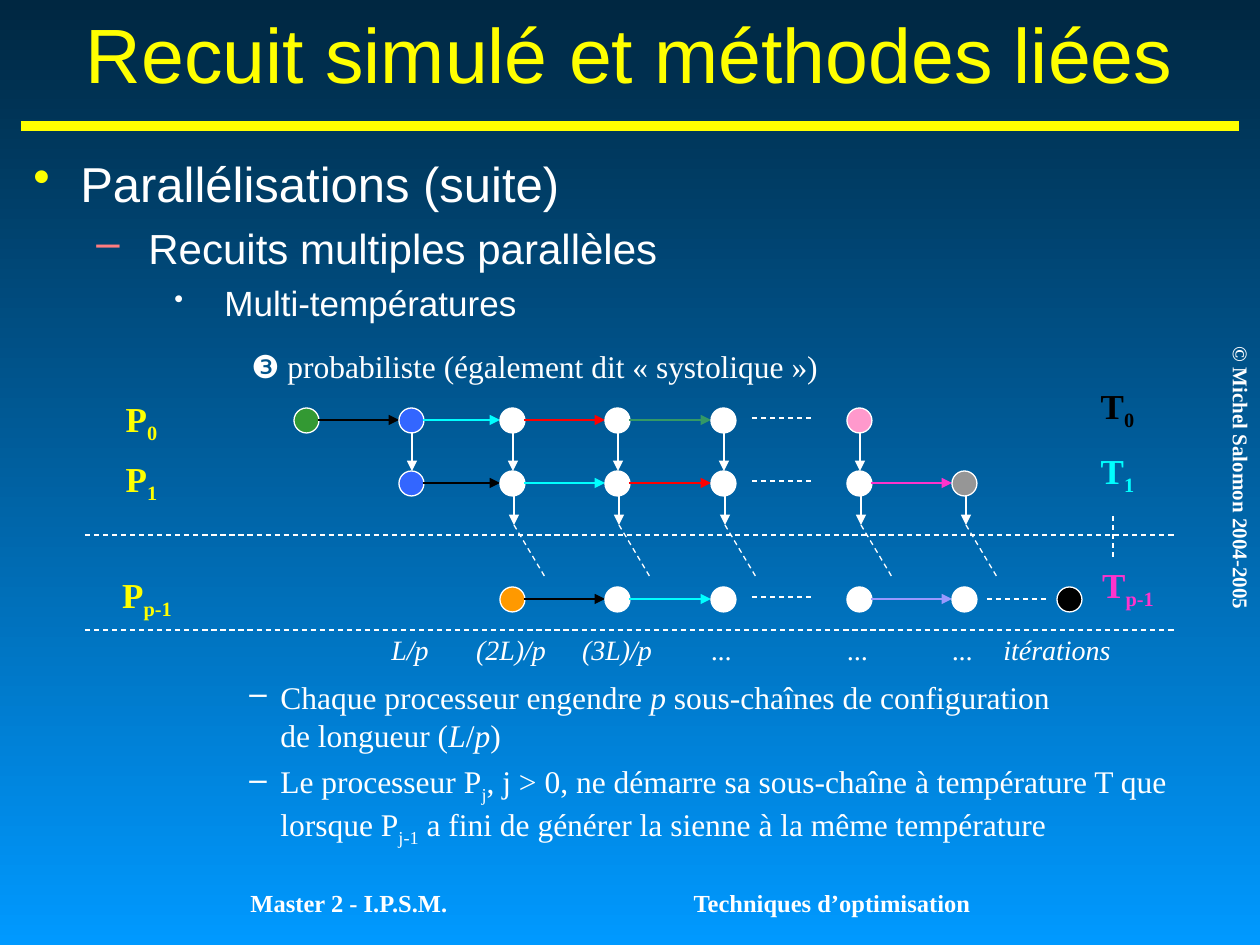
from dataclasses import dataclass
from typing import Optional

from lxml.etree import SubElement
from pptx import Presentation
from pptx.dml.color import RGBColor
from pptx.enum.dml import MSO_LINE
from pptx.enum.shapes import MSO_CONNECTOR, MSO_SHAPE
from pptx.enum.text import MSO_ANCHOR, MSO_AUTO_SIZE, PP_ALIGN
from pptx.oxml.ns import qn
from pptx.util import Pt

SCALE = 914400 / 126
SANS, SERIF = "Arial", "Times New Roman"
WHITE = RGBColor(0xFF, 0xFF, 0xFF)
BLACK = RGBColor(0x00, 0x00, 0x00)
YELLOW = RGBColor(0xFF, 0xFF, 0x00)
CORAL = RGBColor(0xFF, 0x7C, 0x80)
CYAN = RGBColor(0x00, 0xFF, 0xFF)
RED = RGBColor(0xFF, 0x00, 0x00)
GREEN = RGBColor(0x33, 0x99, 0x33)
SEA_GREEN = RGBColor(0x33, 0x99, 0x66)
BLUE = RGBColor(0x33, 0x66, 0xFF)
ORANGE = RGBColor(0xFF, 0x99, 0x00)
PINK = RGBColor(0xFF, 0x99, 0xCC)
MAGENTA = RGBColor(0xFF, 0x33, 0xCC)
LAVENDER = RGBColor(0x99, 0x99, 0xFF)
GRAY = RGBColor(0x96, 0x96, 0x96)
NIGHT = RGBColor(0x00, 0x27, 0x41)
SKY = RGBColor(0x00, 0x99, 0xFF)

COLUMNS = (306, 411, 512, 617, 723, 859, 964, 1069)
ROWS = (420, 483, 599)
RADIUS = 12


@dataclass(frozen=True)
class Piece:
    text: str
    italic: bool = False
    subscript: bool = False
    bold: bool = False
    font: str = SERIF


@dataclass(frozen=True)
class Bullet:
    mark: str
    color: RGBColor
    percent: int = 100


@dataclass(frozen=True)
class Block:
    pieces: tuple[Piece, ...]
    size: int
    color: RGBColor = WHITE
    align: Optional[PP_ALIGN] = PP_ALIGN.CENTER
    level: int = 0
    margin: int = 0
    indent: int = 0
    before: float = 0
    spacing: float = 1.0
    bullet: Optional[Bullet] = None


@dataclass(frozen=True)
class Node:
    row: int
    column: int
    fill: RGBColor = WHITE
    arrow: Optional[RGBColor] = None


@dataclass(frozen=True)
class Label:
    box: tuple[int, int, int, int]
    block: Block
    wrap: bool = True
    rotation: int = 0


NODES = (
    Node(0, 0, GREEN, BLACK), Node(0, 1, BLUE, CYAN), Node(0, 2, arrow=RED),
    Node(0, 3, arrow=SEA_GREEN), Node(0, 4), Node(0, 5, PINK),
    Node(1, 1, BLUE, BLACK), Node(1, 2, arrow=CYAN), Node(1, 3, arrow=RED),
    Node(1, 4), Node(1, 5, arrow=MAGENTA), Node(1, 6, GRAY),
    Node(2, 2, ORANGE, BLACK), Node(2, 3, arrow=CYAN), Node(2, 4),
    Node(2, 5, arrow=LAVENDER), Node(2, 6), Node(2, 7, BLACK),
)


def bold_block(text: str, size: int) -> Block:
    return Block((Piece(text, bold=True),), size)


def indexed_label(box: tuple[int, int, int, int], letter: str, index: str, color: RGBColor) -> Label:
    pieces = (Piece(letter, bold=True), Piece(index, bold=True, subscript=True))
    return Label(box, Block(pieces, 20, color))


LABELS = (
    Label((1057, 459, 368, 38), bold_block("© Michel Salomon 2004-2005", 12), rotation=90),
    Label((609, 882, 446, 32), bold_block("Techniques d’optimisation", 14)),
    Label((126, 882, 446, 32), bold_block("Master 2 - I.P.S.M.", 14)),
    indexed_label((105, 391, 73, 60), "P", "0", YELLOW),
    indexed_label((105, 451, 73, 60), "P", "1", YELLOW),
    indexed_label((105, 567, 84, 60), "P", "p-1", YELLOW),
    indexed_label((1081, 378, 73, 60), "T", "0", BLACK),
    indexed_label((1081, 443, 73, 60), "T", "1", CYAN),
    indexed_label((1081, 557, 94, 60), "T", "p-1", MAGENTA),
    *(Label((center - 60, 626, 120, 47), Block((Piece(text, italic=True),), 16), wrap=False)
      for center, text in ((410, "L/p"), (511, "(2L)/p"), (617, "(3L)/p"), (722, "..."),
                           (858, "..."), (963, "..."), (1057, "itérations"))),
)

OUTLINE = (
    Block((Piece("Parallélisations (suite)", font=SANS),), 28, align=None,
          margin=47, indent=-47, bullet=Bullet("•", YELLOW)),
    Block((Piece("Recuits multiples parallèles", font=SANS),), 24, align=None, level=1,
          margin=115, indent=-52, before=6, bullet=Bullet("–", CORAL)),
    Block((Piece("Multi-températures", font=SANS),), 20, align=None, level=2,
          margin=191, indent=-50, before=5, bullet=Bullet("•", WHITE, 75)),
    Block((Piece("❸", font=SANS), Piece(" probabiliste (également dit « systolique »)")),
          18, align=None, level=3, margin=249, indent=-31, before=4.5, spacing=1.4),
)

NOTE_FORMAT = dict(size=18, align=None, level=3, margin=248, indent=-31, bullet=Bullet("–", WHITE))
REMARKS = (
    Block((Piece("Chaque processeur engendre "), Piece("p", italic=True),
           Piece(" sous-chaînes de configuration \nde longueur ("), Piece("L", italic=True),
           Piece("/"), Piece("p", italic=True), Piece(")")), **NOTE_FORMAT),
    Block((Piece("Le processeur P"), Piece("j", subscript=True),
           Piece(", j > 0, ne démarre sa sous-chaîne à température T que lorsque P"),
           Piece("j-1", subscript=True),
           Piece(" a fini de générer la sienne à la même température")), before=4.5, **NOTE_FORMAT),
)


def px(length: int) -> int:
    return round(length * SCALE)


def apply_format(target, values: dict) -> None:
    for name, value in values.items():
        setattr(target, name, value)


def write_block(paragraph, block: Block) -> None:
    apply_format(paragraph, {"alignment": block.align, "level": block.level,
                             "space_before": Pt(block.before), "line_spacing": block.spacing})
    properties = paragraph._p.get_or_add_pPr()
    properties.set("marL", str(px(block.margin)))
    properties.set("indent", str(px(block.indent)))
    if block.bullet:
        color = SubElement(properties, qn("a:buClr"))
        SubElement(color, qn("a:srgbClr"), val=str(block.bullet.color))
        SubElement(properties, qn("a:buSzPct"), val=str(block.bullet.percent * 1000))
        SubElement(properties, qn("a:buChar"), char=block.bullet.mark)
    else:
        SubElement(properties, qn("a:buNone"))
    for piece in block.pieces:
        for number, line in enumerate(piece.text.split("\n")):
            if number:
                paragraph.add_line_break()
            run = paragraph.add_run()
            run.text = line
            apply_format(run.font, {"size": Pt(block.size), "name": piece.font,
                                    "bold": piece.bold, "italic": piece.italic})
            run.font.color.rgb = block.color
            if piece.subscript:
                run._r.get_or_add_rPr().set("baseline", "-25000")


def fill_text(shape, blocks: tuple[Block, ...], wrap: bool = True, anchor=MSO_ANCHOR.TOP) -> None:
    frame = shape.text_frame
    apply_format(frame, {"word_wrap": wrap, "auto_size": MSO_AUTO_SIZE.NONE, "vertical_anchor": anchor})
    for number, block in enumerate(blocks):
        write_block(frame.add_paragraph() if number else frame.paragraphs[0], block)


def add_text(slide, box: tuple[int, int, int, int], blocks: tuple[Block, ...],
             wrap: bool = True, rotation: int = 0) -> None:
    shape = slide.shapes.add_textbox(*map(px, box))
    shape.rotation = rotation
    fill_text(shape, blocks, wrap)


def add_line(slide, start: tuple[int, int], end: tuple[int, int], color: RGBColor = WHITE,
             width: float = 0.75, arrow: bool = False, dashed: bool = False) -> None:
    connector = slide.shapes.add_connector(MSO_CONNECTOR.STRAIGHT, *map(px, start + end))
    connector.line.color.rgb = color
    connector.line.width = Pt(width)
    if dashed:
        connector.line.dash_style = MSO_LINE.DASH
    if arrow:
        SubElement(connector.line._get_or_add_ln(), qn("a:tailEnd"), type="triangle")
    SubElement(connector._element.spPr, qn("a:effectLst"))


def add_node(slide, node: Node) -> None:
    x, y = COLUMNS[node.column], ROWS[node.row]
    box = (x - RADIUS, y - RADIUS, 2 * RADIUS + 1, 2 * RADIUS + 1)
    shape = slide.shapes.add_shape(MSO_SHAPE.OVAL, *map(px, box))
    shape.shadow.inherit = False
    shape.fill.solid()
    shape.fill.fore_color.rgb = node.fill
    shape.line.color.rgb = WHITE
    shape.line.width = Pt(0.75)
    if node.arrow is not None:
        add_line(slide, (x + RADIUS, y), (COLUMNS[node.column + 1] - RADIUS, y), node.arrow, arrow=True)


def add_diagram(slide) -> None:
    for node in NODES:
        add_node(slide, node)
    for x in COLUMNS[1:6]:
        add_line(slide, (x + 1, ROWS[0] + RADIUS), (x + 1, ROWS[1] - RADIUS), arrow=True)
    for x in COLUMNS[2:7]:
        add_line(slide, (x + 2, ROWS[1] + RADIUS), (x + 2, 525), arrow=True)
        add_line(slide, (x + 2, 525), (x + 33, 577), dashed=True)
    for y in ROWS:
        add_line(slide, (752, y - 2), (815, y - 2), dashed=True)
    add_line(slide, (987, ROWS[2]), (1050, ROWS[2]), dashed=True)
    add_line(slide, (1113, 516), (1113, 558), dashed=True)
    for y in (535, 630):
        add_line(slide, (85, y), (1175, y), dashed=True)


def main() -> None:
    """Build the slide on parallel simulated annealing."""
    presentation = Presentation()
    apply_format(presentation, {"slide_width": px(1260), "slide_height": px(945)})
    slide = presentation.slides.add_slide(presentation.slide_layouts[5])
    background = slide.background.fill
    background.gradient()
    background.gradient_angle = 270
    for stop, color in zip(background.gradient_stops, (NIGHT, SKY)):
        stop.color.rgb = color
    title = slide.shapes.title
    apply_format(title, {"left": px(21), "top": 0, "width": px(1218), "height": px(105)})
    heading = Block((Piece("Recuit simulé et méthodes liées", font=SANS),), 44, YELLOW)
    fill_text(title, (heading,), anchor=MSO_ANCHOR.MIDDLE)
    add_line(slide, (21, 126), (1239, 126), YELLOW, 6)
    add_text(slide, (21, 147, 1218, 242), OUTLINE)
    add_diagram(slide)
    for label in LABELS:
        add_text(slide, label.box, (label.block,), label.wrap, label.rotation)
    add_text(slide, (20, 672, 1239, 168), REMARKS)
    presentation.save("out.pptx")


if __name__ == "__main__":
    main()
